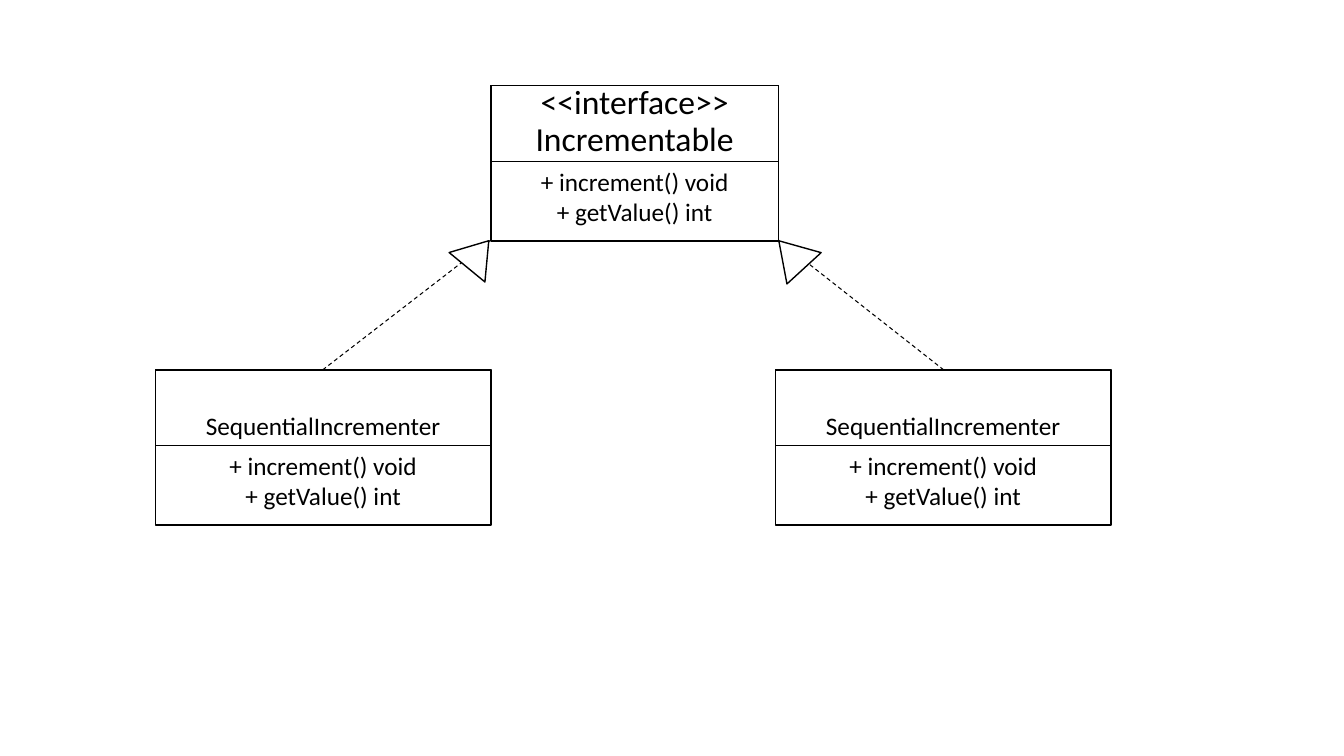
from pptx import Presentation
from pptx.dml.color import RGBColor
from pptx.enum.dml import MSO_LINE as Dash
from pptx.enum.shapes import MSO_CONNECTOR as Link, MSO_SHAPE as Kind
from pptx.enum.text import MSO_ANCHOR as Anchor, MSO_AUTO_SIZE as Fit, PP_ALIGN as Align
from pptx.oxml.ns import qn
from pptx.util import Inches, Pt

BLACK = RGBColor(0, 0, 0)
WHITE = RGBColor(255, 255, 255)
METHODS = ["+ increment() void", "+ getValue() int"]
HEAD, BODY = 0.75, 1.54  # heights of the name part and the whole class box
NAME_W, NAME_H = 4.57, 1.27


def style(item, values):
    for key, value in values.items():
        setattr(item, key, value)


def place(shape, left, top, width, height):
    style(shape, {"left": Inches(left), "top": Inches(top),
                  "width": Inches(width), "height": Inches(height)})


def write(shape, lines, size, anchor, space):
    frame = shape.text_frame
    style(frame, {"word_wrap": True, "auto_size": Fit.NONE,
                  "vertical_anchor": anchor})
    for i, line in enumerate(lines):
        para = frame.paragraphs[0] if i == 0 else frame.add_paragraph()
        style(para, {"alignment": Align.CENTER, "line_spacing": space,
                     "space_before": Pt(0)})
        run = para.add_run()
        run.text = line
        style(run.font, {"size": Pt(size), "name": "Calibri"})
        run.font.color.rgb = BLACK


def add_form(slide, kind, left, top, width, height, fill=None, turn=0):
    form = slide.shapes.add_shape(kind, *map(Inches, (left, top, width, height)))
    form.shadow.inherit = False
    form.rotation = turn
    if fill is None:
        form.fill.background()
    else:
        form.fill.solid()
        form.fill.fore_color.rgb = fill
    form.line.color.rgb = BLACK
    form.line.width = Pt(1)


def add_class(slide, left, top, width, names, size, title=None):
    # Outline and name part
    for height in (BODY, HEAD):
        add_form(slide, Kind.RECTANGLE, left, top, width, height)
    # Methods
    box = slide.shapes.add_textbox(0, 0, 0, 0)
    place(box, left, top + HEAD, width, 0.71)
    write(box, METHODS, 18, Anchor.TOP, 1.0)
    # Name, centred over the box
    label = title or slide.shapes.add_textbox(0, 0, 0, 0)
    base = 1.62 if title else top + HEAD
    place(label, left + (width - NAME_W) / 2, base - NAME_H, NAME_W, NAME_H)
    write(label, names, size, Anchor.BOTTOM, 0.9)


def add_link(slide, *ends):
    link = slide.shapes.add_connector(Link.STRAIGHT, *map(Inches, ends))
    link.line.color.rgb = BLACK
    style(link.line, {"width": Pt(0.75), "dash_style": Dash.DASH})
    props = link._element.spPr
    props.append(props.makeelement(qn("a:effectLst"), {}))


def main():
    deck = Presentation()
    style(deck, {"slide_width": Inches(13.33), "slide_height": Inches(7.5)})
    slide = deck.slides.add_slide(deck.slide_layouts[5])

    # Interface and the two classes under it
    add_class(slide, 4.87, 0.85, 2.85, ["<<interface>>", "Incrementable"], 24,
              slide.shapes.title)
    for left in (1.54, 7.69):
        add_class(slide, left, 3.67, 3.33, ["SequentialIncrementer"], 18)

    # Dashed lines up to the interface corners
    for start, end in ((3.2, 4.87), (9.36, 7.72)):
        add_link(slide, start, 3.67, end, 2.38)

    # Hollow arrowheads
    for left, top, height, turn in ((4.51, 2.35, 0.34, 39.4),
                                    (7.62, 2.34, 0.37, 317.5)):
        add_form(slide, Kind.FLOWCHART_EXTRACT, left, top, 0.46, height, WHITE, turn)

    deck.save("out.pptx")


if __name__ == "__main__":
    main()
